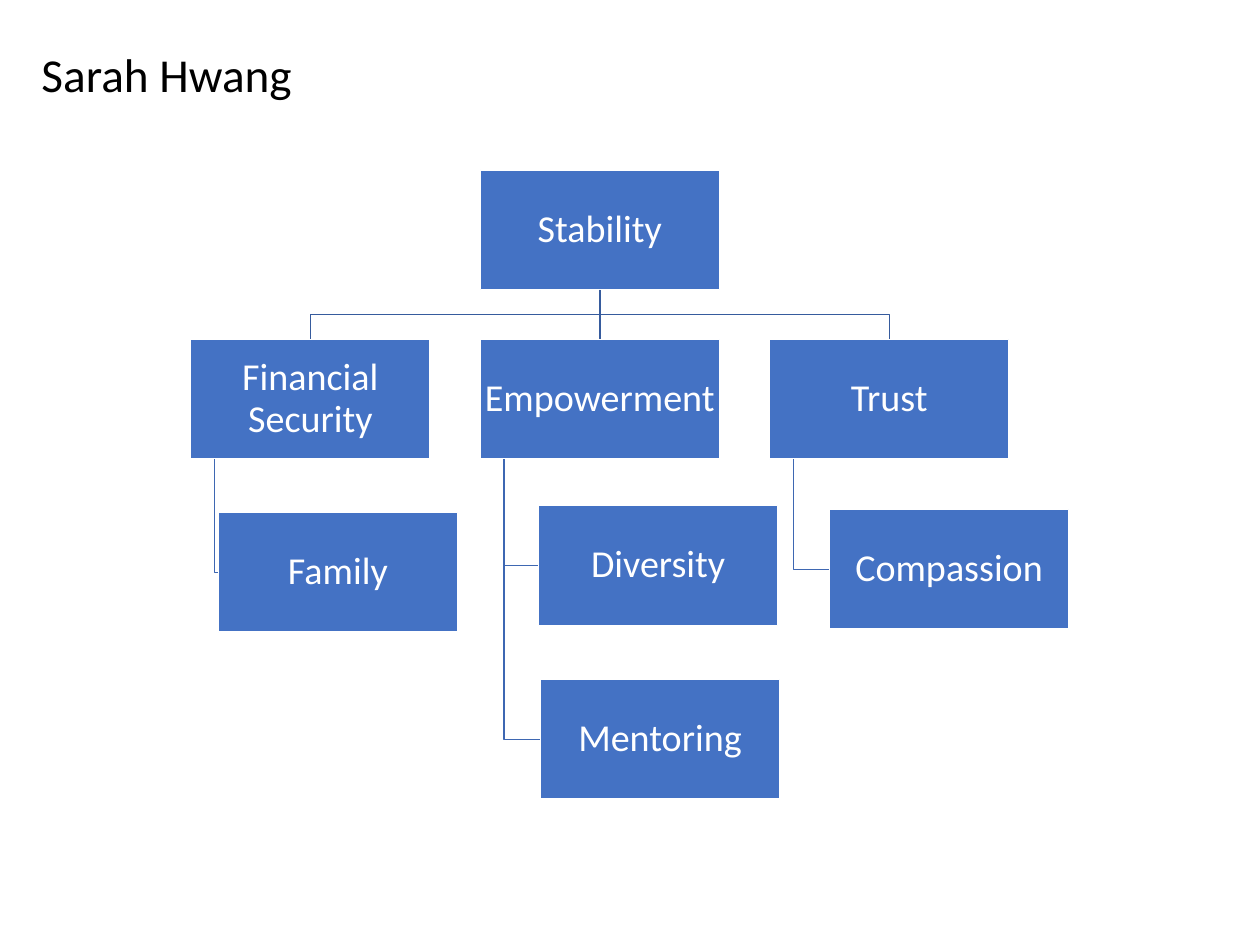
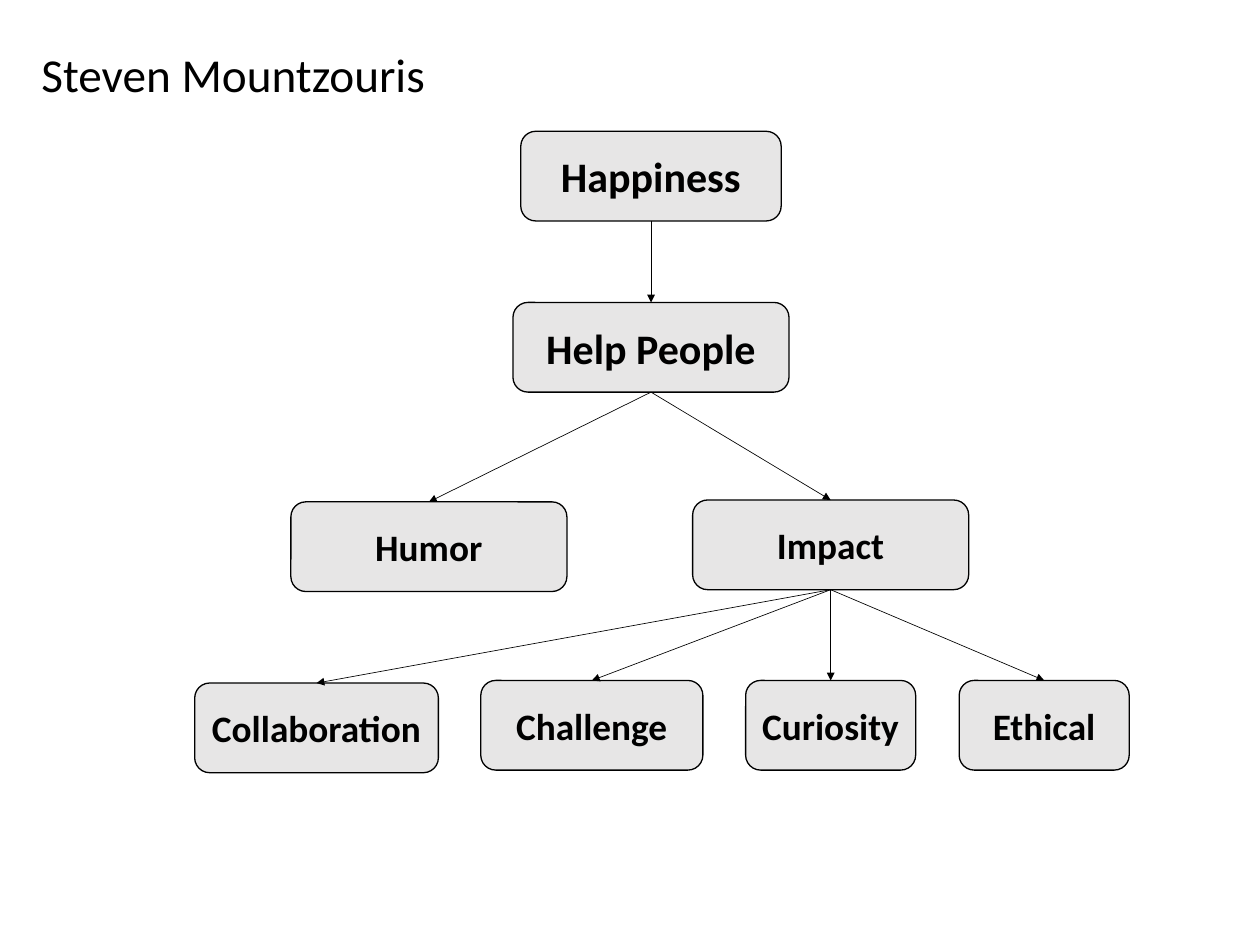
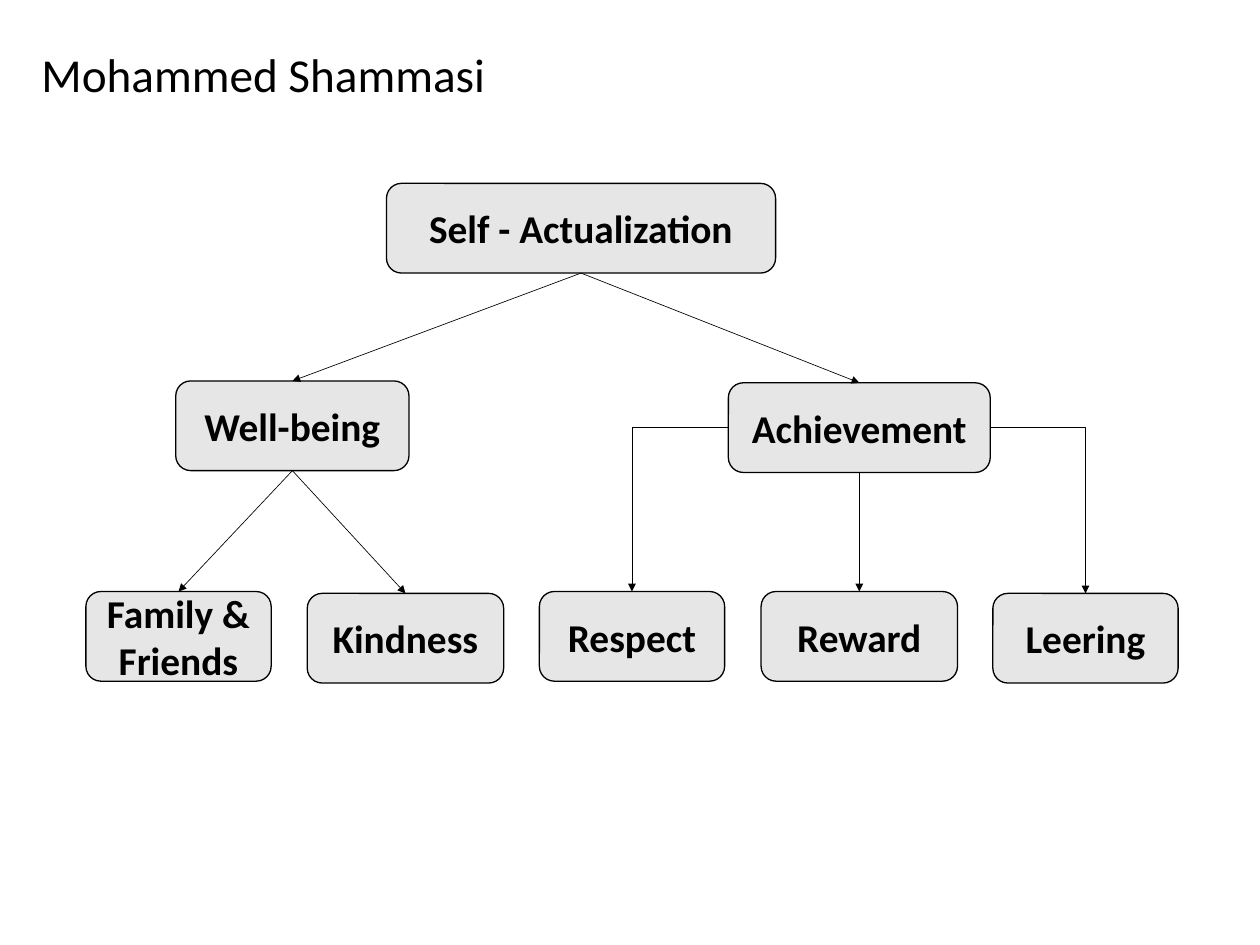
from dataclasses import dataclass

from lxml.etree import SubElement
from pptx import Presentation
from pptx.dml.color import RGBColor
from pptx.enum.shapes import MSO_CONNECTOR, MSO_SHAPE
from pptx.enum.text import MSO_ANCHOR, MSO_AUTO_SIZE, PP_ALIGN
from pptx.oxml.ns import qn
from pptx.util import Cm, Pt


@dataclass(frozen=True)
class Theme:
    font: str = "Calibri"
    black: str = "000000"
    white: str = "FFFFFF"
    blue: str = "4472C4"
    trunk: str = "365B9D"
    branch: str = "3E67B2"
    grey: str = "E7E6E6"
    title: float = 36
    block: float = 29
    large: float = 32
    mid: float = 30
    small: float = 28.4


THEME = Theme()
TOP, LEFT, BOTTOM, RIGHT = range(4)

# Sizes in cm
BLOCK_W, BLOCK_H = 6.43, 3.22
NODE_H = 2.41
INDENT = 0.64


def color(code):
    return RGBColor.from_string(code)


# Text and titles
def write(shape, text, size, ink=THEME.black, bold=False,
          align=PP_ALIGN.CENTER, spacing=1.0, inset=None):
    frame = shape.text_frame
    frame.text = text
    frame.word_wrap = True
    frame.auto_size = MSO_AUTO_SIZE.NONE
    frame.vertical_anchor = MSO_ANCHOR.MIDDLE
    if inset is not None:
        frame.margin_left = frame.margin_right = Cm(inset)
        frame.margin_top = frame.margin_bottom = Cm(inset)
    for para in frame.paragraphs:
        para.alignment = align
        para.line_spacing = spacing
        for run in para.runs:
            font = run.font
            font.name, font.size, font.bold = THEME.font, Pt(size), bold
            font.color.rgb = color(ink)


def new_slide(deck, name):
    slide = deck.slides.add_slide(deck.slide_layouts[5])
    title = slide.shapes.title
    title.left, title.top = Cm(0.86), Cm(1.09)
    title.width, title.height = Cm(26.62), Cm(1.8)
    write(title, name, THEME.title, align=PP_ALIGN.LEFT)
    return slide


# Boxes
def add_box(slide, kind, place, fill, edge):
    box = slide.shapes.add_shape(kind, *(Cm(n) for n in place))
    box.shadow.inherit = False
    box.fill.solid()
    box.fill.fore_color.rgb = color(fill)
    box.line.color.rgb = color(edge)
    box.line.width = Pt(1)
    return box


def add_block(slide, text, left, top):
    box = add_box(slide, MSO_SHAPE.RECTANGLE, (left, top, BLOCK_W, BLOCK_H),
                  THEME.blue, THEME.white)
    write(box, text, THEME.block, ink=THEME.white, spacing=0.9, inset=0.05)
    return box


def add_node(slide, text, center, top, width, size):
    place = (center - width / 2, top, width, NODE_H)
    box = add_box(slide, MSO_SHAPE.ROUNDED_RECTANGLE, place,
                  THEME.grey, THEME.black)
    write(box, text, size, bold=True)
    return box


# Lines
def add_elbow(slide, points, ink):
    start, *rest = [(Cm(x), Cm(y)) for x, y in points]
    path = slide.shapes.build_freeform(*start)
    path.add_line_segments(rest, close=False)
    line = path.convert_to_shape()
    line.shadow.inherit = False
    line.fill.background()
    line.line.color.rgb = color(ink)
    line.line.width = Pt(1)


def link(slide, start, end, side=BOTTOM, ink=THEME.black, width=0.5,
         arrow=True):
    bent = side in (LEFT, RIGHT)
    kind = MSO_CONNECTOR.ELBOW if bent else MSO_CONNECTOR.STRAIGHT
    line = slide.shapes.add_connector(kind, 0, 0, 0, 0)
    line.begin_connect(start, side)
    line.end_connect(end, TOP)
    line.line.color.rgb = color(ink)
    line.line.width = Pt(width)
    props = line._element.spPr
    if bent:
        props.find(qn("a:prstGeom")).set("prst", "bentConnector2")
    if arrow:
        SubElement(props.find(qn("a:ln")), qn("a:tailEnd"), type="triangle")
    SubElement(props, qn("a:effectLst"))


# Trees
def block_tree(slide):
    root_y, row_y = 4.57, 9.12
    cols = [5.13 + 7.78 * i for i in range(3)]
    root = add_block(slide, "Stability", cols[1], root_y)
    base = root_y + BLOCK_H
    bend = (base + row_y) / 2
    mid = cols[1] + BLOCK_W / 2
    groups = [
        ("Financial Security", [("Family", 5.87, 13.77)]),
        ("Empowerment", [("Diversity", 14.48, 13.59),
                         ("Mentoring", 14.53, 18.26)]),
        ("Trust", [("Compassion", 22.3, 13.69)]),
    ]
    for left, (text, leaves) in zip(cols, groups):
        box = add_block(slide, text, left, row_y)
        if left == cols[1]:
            link(slide, root, box, ink=THEME.trunk, width=1, arrow=False)
        else:
            end = left + BLOCK_W / 2
            add_elbow(slide, [(mid, base), (mid, bend), (end, bend),
                              (end, row_y)], THEME.trunk)
        for leaf, x, y in leaves:
            stem, level = left + INDENT, y + BLOCK_H / 2
            add_elbow(slide, [(stem, row_y + BLOCK_H), (stem, level),
                              (x, level)], THEME.branch)
            add_block(slide, leaf, x, y)


def node_tree(slide, nodes, links):
    boxes = {node[0]: add_node(slide, *node) for node in nodes}
    for start, end, *side in links:
        link(slide, boxes[start], boxes[end], *side)


def main():
    deck = Presentation()
    deck.slide_width, deck.slide_height = Cm(33.87), Cm(25.4)

    block_tree(new_slide(deck, "Sarah Hwang"))

    # Each node: text, center, top, width, type size
    large, mid, small = THEME.large, THEME.mid, THEME.small
    node_tree(
        new_slide(deck, "Steven Mountzouris"),
        [("Happiness", 17.5, 3.53, 7, large),
         ("Help People", 17.5, 8.13, 7.42, large),
         ("Humor", 11.53, 13.49, 7.42, small),
         ("Impact", 22.33, 13.44, 7.42, small),
         ("Collaboration", 8.51, 18.36, 6.55, small),
         ("Challenge", 15.91, 18.29, 5.97, small),
         ("Curiosity", 22.33, 18.29, 4.57, small),
         ("Ethical", 28.07, 18.29, 4.57, small)],
        [("Happiness", "Help People"),
         ("Help People", "Humor"),
         ("Help People", "Impact"),
         ("Impact", "Collaboration"),
         ("Impact", "Challenge"),
         ("Impact", "Curiosity"),
         ("Impact", "Ethical")])

    node_tree(
        new_slide(deck, "Mohammed Shammasi"),
        [("Self - Actualization", 15.62, 4.93, 10.46, mid),
         ("Well-being", 7.86, 10.24, 6.27, mid),
         ("Achievement", 23.1, 10.29, 7.04, mid),
         ("Family &\nFriends", 4.8, 15.9, 4.98, mid),
         ("Kindness", 10.9, 15.95, 5.28, mid),
         ("Respect", 16.99, 15.9, 4.98, mid),
         ("Reward", 23.1, 15.9, 5.28, mid),
         ("Leering", 29.18, 15.95, 4.98, mid)],
        [("Self - Actualization", "Well-being"),
         ("Self - Actualization", "Achievement"),
         ("Well-being", "Family &\nFriends"),
         ("Well-being", "Kindness"),
         ("Achievement", "Respect", LEFT),
         ("Achievement", "Reward"),
         ("Achievement", "Leering", RIGHT)])

    deck.save("out.pptx")


if __name__ == "__main__":
    main()
